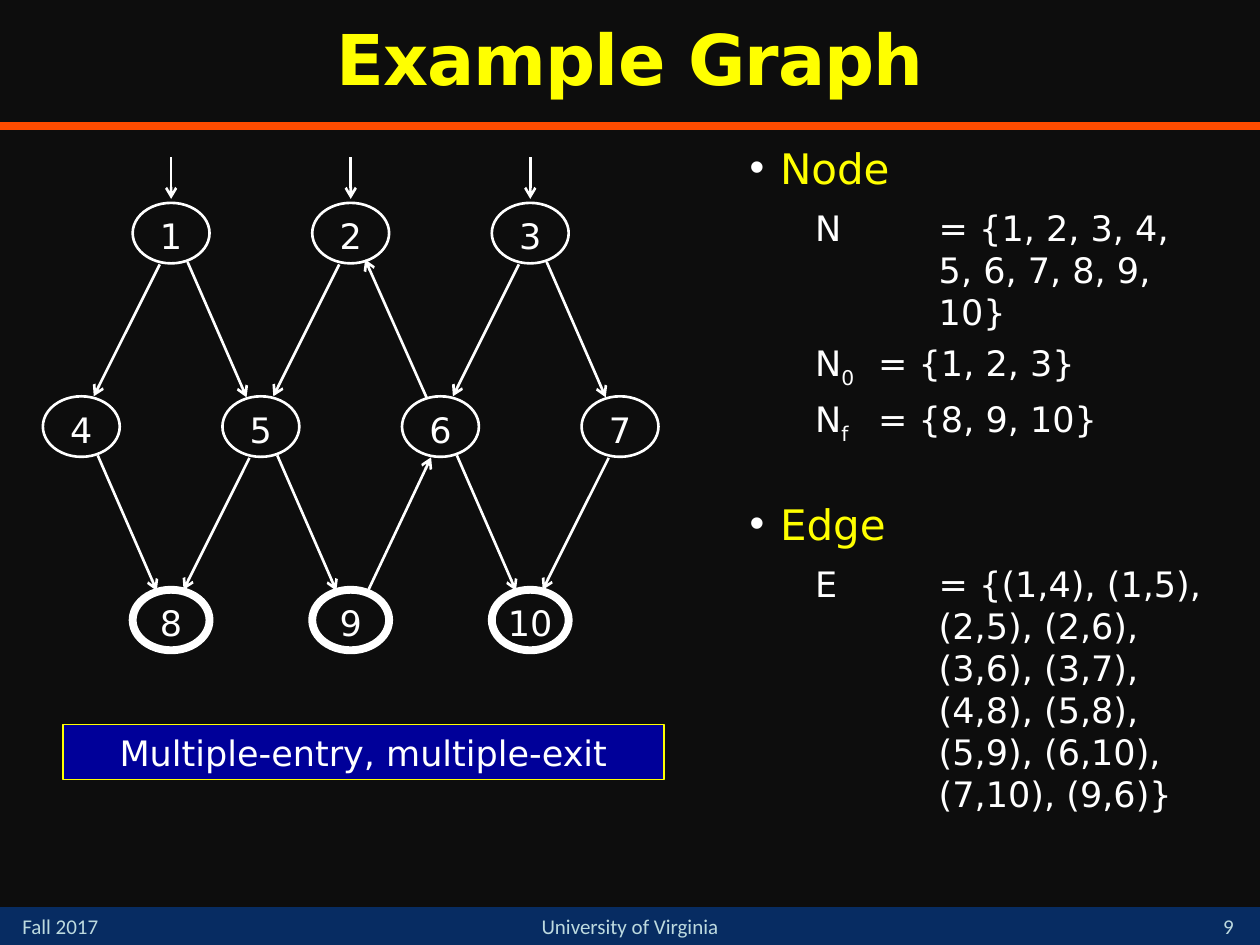
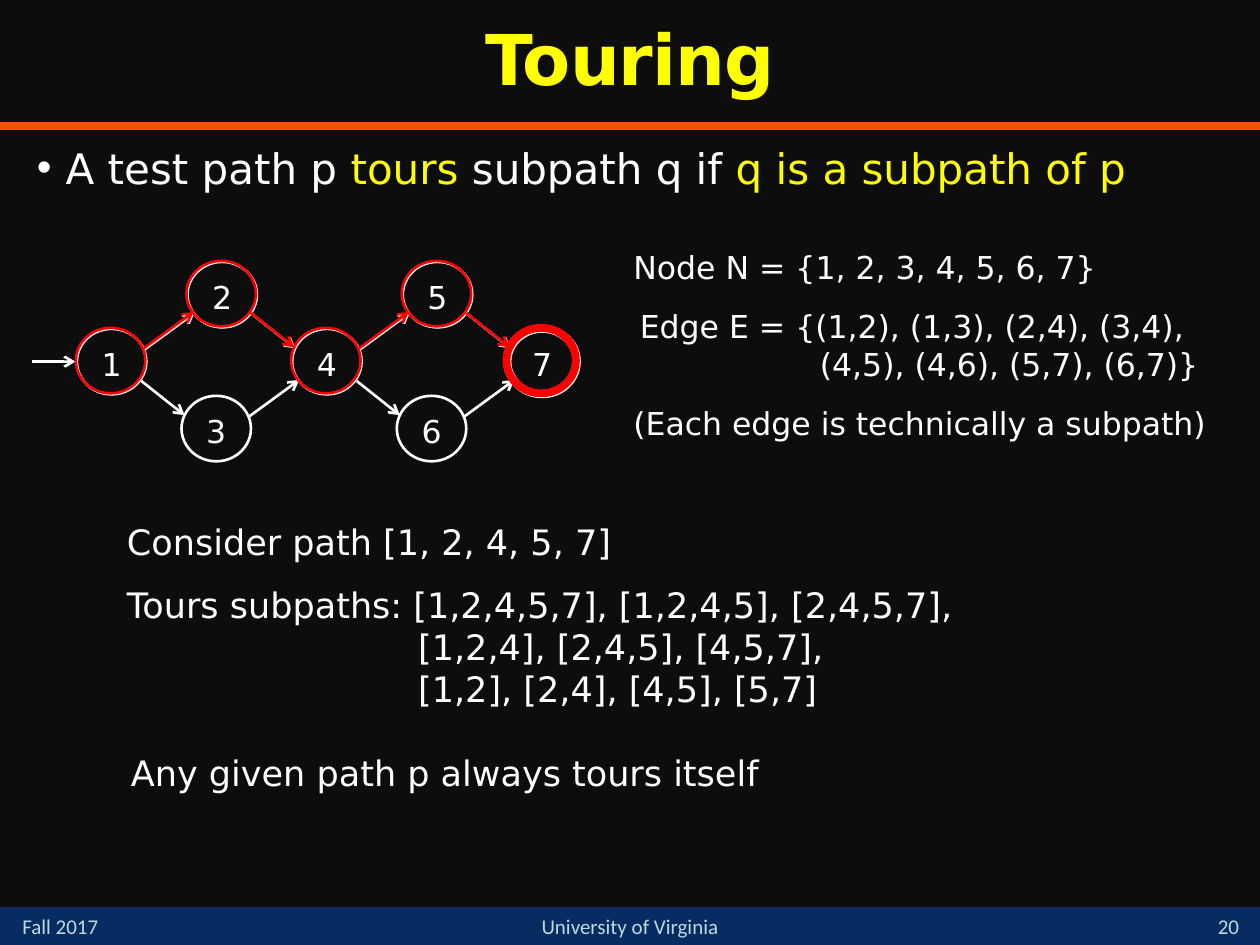
from lxml import etree
from pptx import Presentation
from pptx.dml.color import RGBColor
from pptx.enum.shapes import MSO_CONNECTOR, MSO_SHAPE
from pptx.enum.text import MSO_ANCHOR, MSO_AUTO_SIZE, PP_ALIGN
from pptx.oxml.ns import qn
from pptx.util import Cm, Pt

BLACK = RGBColor(0x0D, 0x0D, 0x0D)
NAVY = RGBColor(0x07, 0x2C, 0x62)
ORANGE = RGBColor(0xFF, 0x4C, 0x00)
PALE = RGBColor(0xBD, 0xDA, 0xDF)
YELLOW = RGBColor(0xFF, 0xFF, 0x00)
WHITE = RGBColor(0xFF, 0xFF, 0xFF)
BLUE = RGBColor(0x00, 0x00, 0x99)
RED = RGBColor(0xFF, 0x00, 0x00)

RECTANGLE, OVAL = MSO_SHAPE.RECTANGLE, MSO_SHAPE.OVAL
STRAIGHT = MSO_CONNECTOR.STRAIGHT
TOP, MIDDLE, BOTTOM = MSO_ANCHOR.TOP, MSO_ANCHOR.MIDDLE, MSO_ANCHOR.BOTTOM
LEFT, CENTER = PP_ALIGN.LEFT, PP_ALIGN.CENTER
FIXED_SIZE = MSO_AUTO_SIZE.NONE

TEXT_FONT, FOOTER_FONT = "DejaVu Sans", "Calibri"
WIDTH, HEIGHT = 25.4, 19.05
FOOTER_TOP, FOOTER_HEIGHT = 18.29, 0.76
THIN, THICK = 1.5, 4.5


def move(shape, at):
    shape.left, shape.top, shape.width, shape.height = (Cm(length) for length in at)


def shifted(point, offset):
    return point[0] + offset[0], point[1] + offset[1]


class SlideBuilder:
    """Holds the deck, its style and the slide being filled; lengths are in cm."""

    def __init__(self):
        self.deck = Presentation()
        self.deck.slide_width, self.deck.slide_height = Cm(WIDTH), Cm(HEIGHT)
        background = self.deck.slide_master.background.fill
        background.solid()
        background.fore_color.rgb = BLACK
        self.slide = None

    def page(self, title, number):
        """Start a slide with its title, rule and footer."""
        self.slide = self.deck.slides.add_slide(self.deck.slide_layouts[1])
        self.shape(RECTANGLE, (0, FOOTER_TOP, WIDTH, FOOTER_HEIGHT), fill=NAVY)
        self.line((0, 2.54), (WIDTH, 2.54), ORANGE, THICK)
        self.footer("Fall 2017", 0.2, 2.97, LEFT)
        self.footer("University of Virginia", 9.31, 6.78, CENTER)
        self.footer(str(number), 24.13, 1.27, CENTER, BOTTOM)

        heading = self.slide.shapes.title
        move(heading, (0, 0, WIDTH, 2.54))
        para = self.frame(heading, MIDDLE).paragraphs[0]
        self.set_paragraph(para, [title], size=40, color=YELLOW, align=CENTER)
        para.line_spacing = 0.9
        for span in para.runs:
            span.font.bold = True
            span._r.get_or_add_rPr().set("spc", "-50")

    def footer(self, text, left, width, align, anchor=TOP):
        box = self.slide.shapes.add_textbox(0, 0, 0, 0)
        move(box, (left, FOOTER_TOP, width, FOOTER_HEIGHT))
        para = self.frame(box, anchor).paragraphs[0]
        self.set_paragraph(para, [text], size=12, color=PALE, align=align, font=FOOTER_FONT)

    def frame(self, shape, anchor=TOP):
        frame = shape.text_frame
        frame.word_wrap = True
        frame.auto_size = FIXED_SIZE
        frame.vertical_anchor = anchor
        return frame

    def set_paragraph(self, para, spans, size=20, color=WHITE, align=LEFT, font=TEXT_FONT,
                      margin=0, first=0, before=0, after=0, tab=None, bullet=False):
        """Fill a paragraph; a span is text, or text with its colour and baseline."""
        properties = para._p.get_or_add_pPr()
        properties.set("marL", str(Cm(margin)))
        properties.set("indent", str(Cm(first)))
        if bullet:
            bullet_color = etree.SubElement(properties, qn("a:buClr"))
            etree.SubElement(bullet_color, qn("a:srgbClr"), val=str(WHITE))
            etree.SubElement(properties, qn("a:buChar"), char="•")
        else:
            etree.SubElement(properties, qn("a:buNone"))
        if tab:
            tabs = etree.SubElement(properties, qn("a:tabLst"))
            etree.SubElement(tabs, qn("a:tab"), pos=str(Cm(tab)), algn="l")
        para.alignment = align
        para.space_before, para.space_after = Pt(before), Pt(after)
        for item in spans:
            text, tint, baseline = (item, color, 0) if isinstance(item, str) else item
            span = para.add_run()
            span.text = text
            span.font.name, span.font.size = font, Pt(size)
            span.font.color.rgb = tint
            if baseline:
                span._r.get_or_add_rPr().set("baseline", str(baseline * 1000))

    def paragraphs(self, shape, entries):
        """Put entries of (spans, paragraph style) into a shape."""
        frame = self.frame(shape)
        for index, (spans, style) in enumerate(entries):
            para = frame.add_paragraph() if index else frame.paragraphs[0]
            self.set_paragraph(para, spans, **style)

    def body(self, at, entries):
        holder = self.slide.placeholders[1]
        move(holder, at)
        self.paragraphs(holder, entries)

    def textbox(self, at, entries):
        box = self.slide.shapes.add_textbox(0, 0, 0, 0)
        move(box, at)
        self.paragraphs(box, entries)

    def shape(self, kind, at, fill=None, color=None, weight=THIN):
        shape = self.slide.shapes.add_shape(kind, 0, 0, 0, 0)
        move(shape, at)
        shape.shadow.inherit = False
        if fill:
            shape.fill.solid()
            shape.fill.fore_color.rgb = fill
        else:
            shape.fill.background()
        if color:
            shape.line.color.rgb = color
            shape.line.width = Pt(weight)
        else:
            shape.line.fill.background()
        return shape

    def callout(self, at, text):
        box = self.shape(RECTANGLE, at, BLUE, YELLOW, 0.75)
        self.set_paragraph(self.frame(box, MIDDLE).paragraphs[0], [text], align=CENTER)

    def line(self, start, end, color=WHITE, weight=THIN, arrow=False):
        ends = [Cm(length) for length in (*start, *end)]
        connector = self.slide.shapes.add_connector(STRAIGHT, *ends)
        connector.line.color.rgb = color
        connector.line.width = Pt(weight)
        properties = connector._element.spPr
        if arrow:
            etree.SubElement(properties.find(qn("a:ln")), qn("a:tailEnd"), type="arrow")
        etree.SubElement(properties, qn("a:effectLst"))

    def node(self, center, size, label=None, label_size=20, color=WHITE, final=False):
        width, height = size
        at = (center[0] - width / 2, center[1] - height / 2, width, height)
        oval = self.shape(OVAL, at, color=color, weight=THICK if final else THIN)
        if label:
            frame = self.frame(oval, MIDDLE)
            frame.word_wrap = False
            frame.margin_left, frame.margin_right, frame.margin_bottom = 0, 0, 0
            frame.margin_top = Cm(0.1)
            self.set_paragraph(frame.paragraphs[0], [str(label)], size=label_size, align=CENTER)

    def edges(self, centers, pairs, ports, color=WHITE):
        """Draw arrows; ports gives leave and arrive offsets by (rightward, downward)."""
        for source, target in pairs:
            start, end = centers[source], centers[target]
            leave, arrive = ports[end[0] > start[0], end[1] > start[1]]
            self.line(shifted(start, leave), shifted(end, arrive), color, arrow=True)


def example_graph(builder):
    builder.page("Example Graph", 9)
    # Node number: (half-column, row)
    grid = {1: (1, 0), 2: (3, 0), 3: (5, 0),
            4: (0, 1), 5: (2, 1), 6: (4, 1), 7: (6, 1),
            8: (1, 2), 9: (3, 2), 10: (5, 2)}
    centers = {n: (1.64 + 1.81 * col, 4.7 + 3.9 * row) for n, (col, row) in grid.items()}
    for number, center in centers.items():
        builder.node(center, (1.55, 1.22), number, final=number >= 8)
    for number in (1, 2, 3):
        builder.line(shifted(centers[number], (0, -1.53)),
                     shifted(centers[number], (0, -0.69)), arrow=True)
    ports = {(False, True): ((-0.23, 0.63), (0.25, -0.61)),
             (True, True): ((0.33, 0.58), (-0.29, -0.59)),
             (False, False): ((-0.27, -0.56), (0.29, 0.53)),
             (True, False): ((0.32, -0.53), (-0.19, 0.62))}
    pairs = [(1, 4), (1, 5), (2, 5), (6, 2), (3, 6), (3, 7), (4, 8), (5, 8),
             (5, 9), (9, 6), (6, 10), (7, 10)]
    builder.edges(centers, pairs, ports)

    heading = dict(size=24, color=YELLOW, margin=0.64, first=-0.61, after=3, bullet=True)
    wrapped = dict(margin=3.84, first=-2.49, before=5, tab=2.54)
    short = dict(margin=1.35, before=5, tab=2.54)
    builder.body((14.83, 2.74, 9.7, 13.97), [
        (["Node"], heading),
        (["N\t= {1, 2, 3, 4, 5, 6, 7, 8, 9, 10}"], wrapped),
        (["N", ("0", WHITE, -25), "\t= {1, 2, 3}"], short),
        (["N", ("f", WHITE, -25), "\t= {8, 9, 10}"], short),
        (["Edge"], dict(heading, before=30)),
        (["E\t= {(1,4), (1,5), (2,5), (2,6), (3,6), (3,7), (4,8), (5,8), "
          "(5,9), (6,10), (7,10), (9,6)}"], wrapped),
    ])
    builder.callout((1.27, 14.6, 12.12, 1.12), "Multiple-entry, multiple-exit")


def touring(builder):
    builder.page("Touring", 20)
    builder.body((0.43, 2.74, 24.56, 4.88), [
        (["A test path p ", ("tours ", YELLOW, 0), "subpath q if ",
          ("q is a subpath of p", YELLOW, 0)],
         dict(size=24, margin=0.64, first=-0.58, bullet=True)),
    ])
    builder.textbox((12.47, 4.88, 12.73, 4.85), [
        (["Node N = {1, 2, 3, 4, 5, 6, 7}"], dict(size=18, margin=0.05)),
        (["Edge E = {(1,2), (1,3), (2,4), (3,4), (4,5), (4,6), (5,7), (6,7)}"],
         dict(size=18, margin=3.81, first=-3.63, before=12)),
        (["(Each edge is technically a subpath)"], dict(size=18, margin=0.05, before=12)),
    ])

    size, period, middle, rise = (1.4, 1.32), 4.34, 7.29, 1.35
    centers = {}
    for diamond in range(2):
        left, first = period * diamond, 3 * diamond
        centers[first + 1] = (2.25 + left, middle)
        centers[first + 2] = (4.48 + left, middle - rise)
        centers[first + 3] = (4.36 + left, middle + rise)
    centers[7] = (2.25 + 2 * period, middle)
    ports = {(True, False): ((0.67, -0.25), (-0.56, 0.37)),
             (True, True): ((0.6, 0.39), (-0.64, -0.27))}
    for number, center in centers.items():
        builder.node(center, size, number, label_size=18, final=number == 7)
    builder.line((0.64, middle), (1.52, middle), arrow=True)
    builder.edges(centers, [(1, 2), (1, 3), (2, 4), (3, 4),
                            (4, 5), (4, 6), (5, 7), (6, 7)], ports)

    builder.textbox((2.11, 10.36, 19.69, 6.99), [
        (["Consider path [1, 2, 4, 5, 7]"], dict(margin=0.2)),
        (["Tours subpaths: [1,2,4,5,7], [1,2,4,5], [2,4,5,7], [1,2,4], [2,4,5], [4,5,7],"],
         dict(margin=6.07, first=-5.87, before=12)),
        (["[1,2], [2,4], [4,5], [5,7]"], dict(margin=6.07)),
        (["Any given path p always tours itself"], dict(margin=0.28, before=24)),
    ])

    toured = [1, 2, 4, 5, 7]
    highlights = {n: shifted(centers[n], (-0.02, -0.02)) for n in toured}
    for number, center in highlights.items():
        builder.node(center, size, color=RED, final=number == 7)
    builder.edges(highlights, zip(toured, toured[1:]), ports, RED)


def main():
    builder = SlideBuilder()
    example_graph(builder)
    touring(builder)
    builder.deck.save("out.pptx")


if __name__ == "__main__":
    main()
